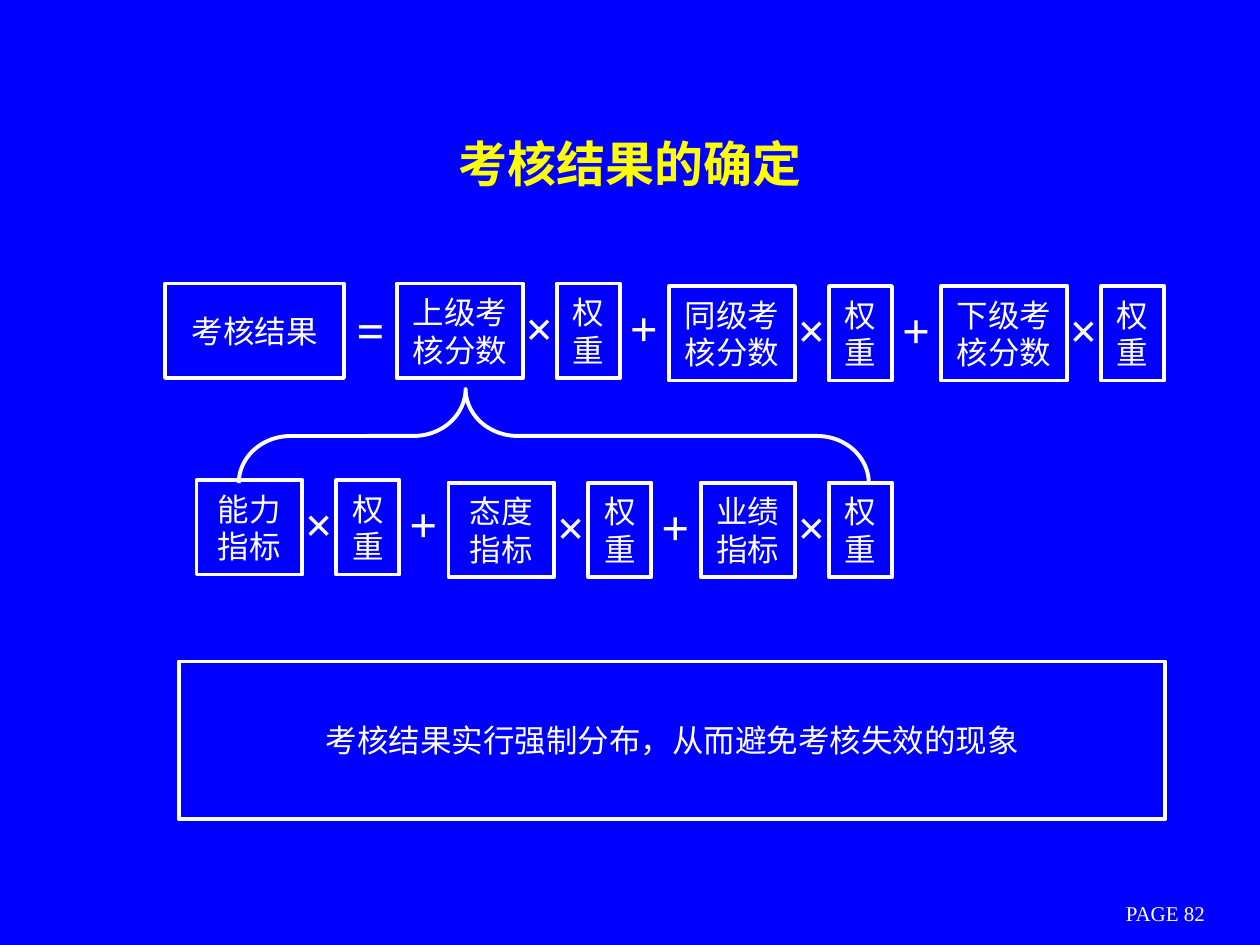
"""Build the slide that shows how an appraisal result is worked out."""
import pptx
import pptx.dml.color
import pptx.enum.shapes
import pptx.enum.text
import pptx.oxml
import pptx.oxml.ns
import pptx.util

Shape = pptx.enum.shapes.MSO_SHAPE
Anchor = pptx.enum.text.MSO_ANCHOR
Align = pptx.enum.text.PP_ALIGN

deck = pptx.Presentation()
deck.slide_width, deck.slide_height = pptx.util.Inches(10), pptx.util.Inches(7.5)
COLUMN, ROW = deck.slide_width / 100, deck.slide_height / 75
WHITE, YELLOW, BLUE = "FFFFFF", "FFFF00", "0000FF"
HAN, LATIN = "Noto Sans CJK SC", "Times New Roman"
TITLE = {"size": pptx.util.Pt(28), "name": HAN, "bold": True}
BODY = {"size": pptx.util.Pt(18), "name": LATIN, "bold": False}
SIGN = {"size": pptx.util.Pt(28), "name": LATIN, "bold": True}
FOOTER = {"size": pptx.util.Pt(12), "name": LATIN, "bold": False}


def paint(color, value):
    color.rgb = pptx.dml.color.RGBColor.from_string(value)


def fill_in(shape, area, text, style, ink=WHITE, anchor=Anchor.MIDDLE, wrap=True, outline=True):
    left, top, width, height = area
    places = {"left": left * COLUMN, "top": top * ROW, "width": width * COLUMN, "height": height * ROW}
    for key, value in places.items():
        setattr(shape, key, round(value))
    if outline:
        shape.shadow.inherit = False
        shape.fill.background()
        paint(shape.line.color, WHITE)
        shape.line.width = pptx.util.Pt(2.25)
    if not text:
        return
    frame = shape.text_frame
    frame.word_wrap, frame.vertical_anchor = wrap, anchor
    para = frame.paragraphs[0]
    para.alignment = Align.CENTER
    span = para.add_run()
    span.text = text
    for key, value in style.items():
        setattr(span.font, key, value)
    paint(span.font.color, ink)
    east = pptx.oxml.parse_xml(f'<a:ea {pptx.oxml.ns.nsdecls("a")} typeface="{HAN}"/>')
    span.font._element.find(pptx.oxml.ns.qn("a:latin")).addnext(east)


page = deck.slides.add_slide(deck.slide_layouts[5])
page.background.fill.solid()
paint(page.background.fill.fore_color, BLUE)
fill_in(page.shapes.title, (7.5, 6.7, 85, 12.5), "考核结果的确定", TITLE, ink=YELLOW, outline=False)
fill_in(page.shapes.add_textbox(0, 0, 0, 0), (85, 71.2, 15, 2.5), "PAGE 82", FOOTER,
        wrap=False, outline=False)

box_height, weight_width = 7.5, 5
times_gap, plus_gap = 2.7, 3.9
boxes = [(13.1, 22.5, 14.2, box_height, "考核结果"), (14.2, 52.5, 78.3, 12.5, "考核结果实行强制分布，从而避免考核失效的现象")]
signs = [(27.3, 23.3, "=")]
formulas = [
    (31.5, 22.5, [("上级考核分数", 10), ("同级考核分数", 10), ("下级考核分数", 10)]),
    (15.6, 38.1, [("能力指标", 8.4), ("态度指标", 8.4), ("业绩指标", 7.5)]),
]
for left, first_top, terms in formulas:
    for index, (term, width) in enumerate(terms):
        top = first_top + (0.2 if index else 0)
        weight_left = left + width + times_gap
        boxes += [(left, top, width, box_height, term), (weight_left, top, weight_width, box_height, "权重")]
        signs.append((left + width - 0.8, top + 0.6, "×"))
        left = weight_left + weight_width + plus_gap
        if index < len(terms) - 1:
            signs.append((left - plus_gap - 0.2, top + 0.6, "+"))

for *area, text in boxes:
    fill_in(page.shapes.add_shape(Shape.RECTANGLE, 0, 0, 0, 0), area, text, BODY)
for left, top, text in signs:
    sign = page.shapes.add_textbox(0, 0, 0, 0)
    fill_in(sign, (left, top, 4.2, 5.7), text, SIGN, anchor=Anchor.TOP, wrap=False, outline=False)
    sign.text_frame.auto_size = pptx.enum.text.MSO_AUTO_SIZE.SHAPE_TO_FIT_TEXT

brace = page.shapes.add_shape(Shape.LEFT_BRACE, 0, 0, 0, 0)
fill_in(brace, (40.2, 9.6, 7.5, 50), "", BODY)
brace.rotation = 90
brace.adjustments[0], brace.adjustments[1] = 0.55, 0.64

deck.save("out.pptx")
